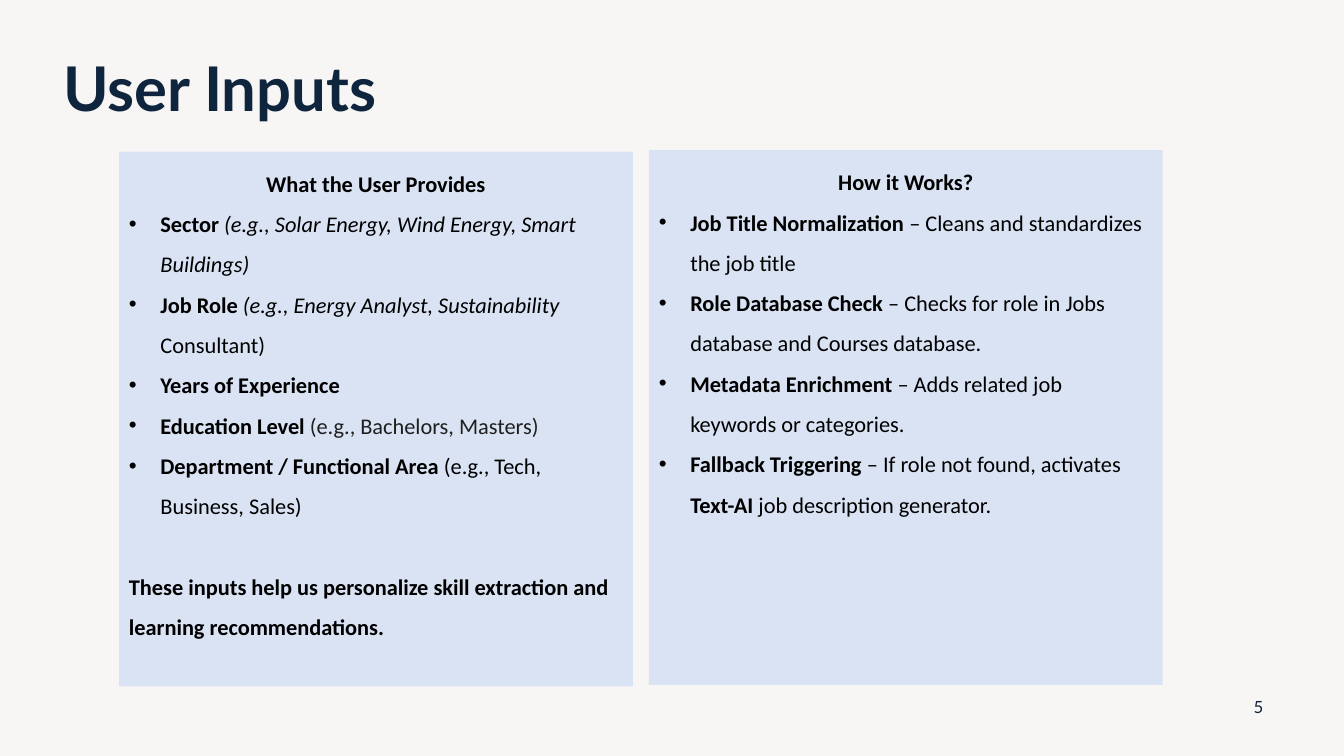
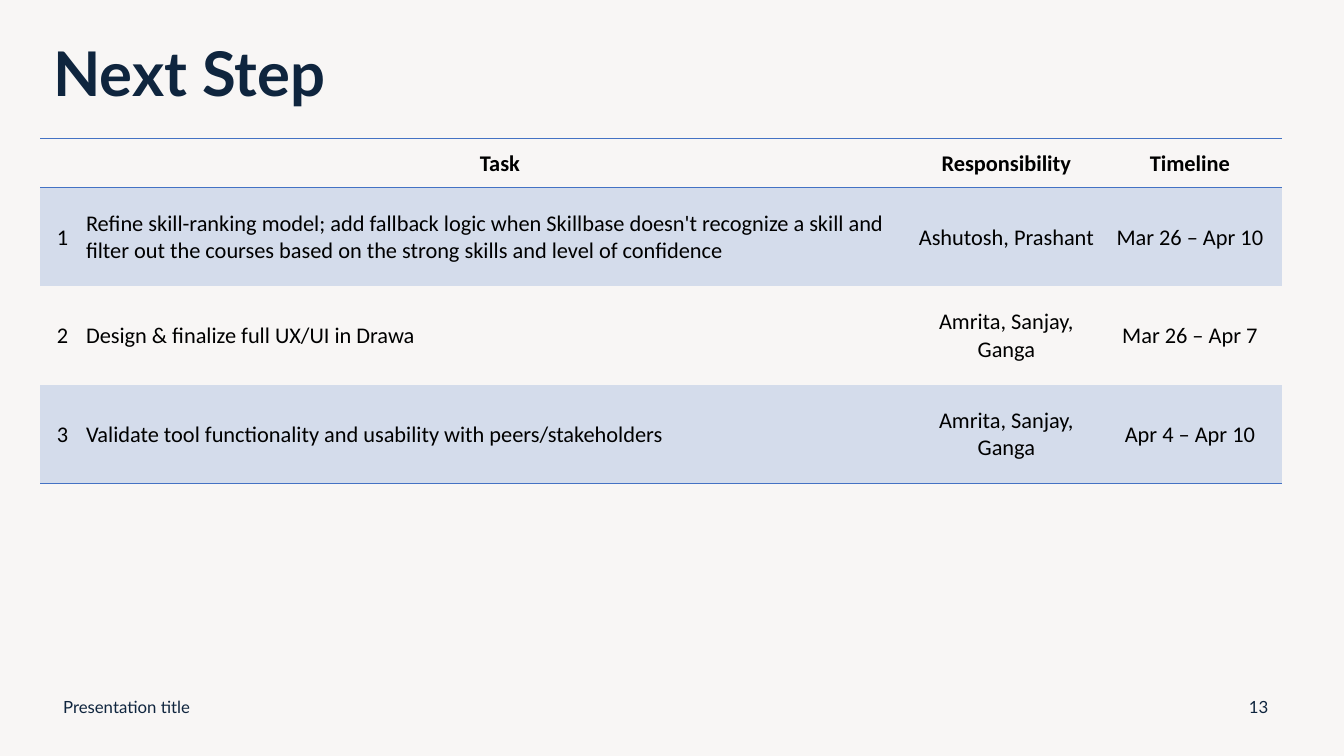
"""Builds the user inputs and next step slides."""
import pptx
import pptx.dml.color
import pptx.enum.shapes
import pptx.enum.text
import pptx.oxml
import pptx.oxml.ns
import pptx.util

Pt = pptx.util.Pt
RGBColor = pptx.dml.color.RGBColor
ALIGN = pptx.enum.text.PP_ALIGN
ANCHOR = pptx.enum.text.MSO_ANCHOR

PAPER = RGBColor(0xF8, 0xF6, 0xF5)
NAVY = RGBColor(0x0F, 0x25, 0x3E)
PANEL = RGBColor(0xDA, 0xE3, 0xF3)
BAND = RGBColor(0xD4, 0xDC, 0xEB)
RULE = RGBColor(0x44, 0x72, 0xC4)
BLACK = RGBColor(0, 0, 0)
CHARCOAL = RGBColor(0x1F, 0x1F, 0x1F)

HEADING_FONT = "Lato"
BODY_FONT = "Calibri"
BODY_SIZE = 16
BULLET_INDENT = 22.5


class Deck:
    """Holds the style and the current slide."""

    def __init__(self):
        self.presentation = pptx.Presentation()
        self.presentation.slide_width = Pt(960)
        self.presentation.slide_height = Pt(540)
        self.slide = None

    def new_slide(self, title, left, top, number):
        self.slide = self.presentation.slides.add_slide(self.presentation.slide_layouts[6])
        backdrop = self.slide.background.fill
        backdrop.solid()
        backdrop.fore_color.rgb = PAPER
        heading = self.label(title, left, top, 828, 88, 44, bold=True)
        heading.line_spacing = 0.9
        self.label(number, 881, 490, 36, 29, 12).alignment = ALIGN.CENTER

    def add_text(self, paragraph, text, style="", color=BLACK, font=BODY_FONT, size=BODY_SIZE):
        run = paragraph.add_run()
        run.text = text
        run.font.name = font
        run.font.size = Pt(size)
        run.font.bold = "b" in style
        run.font.italic = "i" in style
        run.font.color.rgb = color

    def label(self, text, left, top, width, height, size, bold=False):
        frame = self.slide.shapes.add_textbox(Pt(left), Pt(top), Pt(width), Pt(height)).text_frame
        frame.word_wrap = True
        frame.vertical_anchor = ANCHOR.MIDDLE
        paragraph = frame.paragraphs[0]
        self.add_text(paragraph, text, "b" if bold else "", NAVY, HEADING_FONT, size)
        return paragraph

    def panel(self, left, top, heading, bullets, closing=None):
        box = self.slide.shapes.add_shape(
            pptx.enum.shapes.MSO_SHAPE.RECTANGLE, Pt(left), Pt(top), Pt(367), Pt(382))
        box.shadow.inherit = False
        box.fill.solid()
        box.fill.fore_color.rgb = PANEL
        box.line.fill.background()
        frame = box.text_frame
        frame.word_wrap = True
        frame.vertical_anchor = ANCHOR.TOP
        first = frame.paragraphs[0]
        first.alignment = ALIGN.CENTER
        first.line_spacing = 1.5
        self.add_text(first, heading, "b")
        for runs in bullets:
            self.bullet(self.body_line(frame, runs))
        if closing:
            self.body_line(frame, [(closing, "b")]).space_before = Pt(28.8)

    def body_line(self, frame, runs):
        paragraph = frame.add_paragraph()
        paragraph.alignment = ALIGN.LEFT
        paragraph.line_spacing = 1.5
        for run in runs:
            self.add_text(paragraph, *run)
        return paragraph

    def bullet(self, paragraph):
        properties = paragraph._p.get_or_add_pPr()
        properties.set("marL", str(Pt(BULLET_INDENT)))
        properties.set("indent", str(-Pt(BULLET_INDENT)))
        namespace = pptx.oxml.ns.nsdecls("a")
        for mark in ('buFont %s typeface="Arial"', 'buChar %s char="•"'):
            properties.append(pptx.oxml.parse_xml("<a:" + mark % namespace + "/>"))

    def table(self, left, top, widths, heights, rows):
        grid = self.slide.shapes.add_table(
            len(rows), len(widths), Pt(left), Pt(top), Pt(sum(widths)), Pt(sum(heights))).table
        grid.first_row = False
        grid.horz_banding = False
        for column, width in zip(grid.columns, widths):
            column.width = Pt(width)
        for row, height in zip(grid.rows, heights):
            row.height = Pt(height)
        last = len(rows) - 1
        for r, texts in enumerate(rows):
            ruled = {0: "TB", 1: "T", last: "B"}.get(r, "")
            for c, text in enumerate(texts):
                cell = grid.cell(r, c)
                self.borders(cell, ruled)
                if r % 2:
                    cell.fill.solid()
                    cell.fill.fore_color.rgb = BAND
                else:
                    cell.fill.background()
                cell.vertical_anchor = ANCHOR.MIDDLE
                cell.margin_left = cell.margin_right = cell.margin_top = Pt(0.7)
                cell.margin_bottom = Pt(0)
                paragraph = cell.text_frame.paragraphs[0]
                paragraph.alignment = ALIGN.LEFT if r and c == 1 else ALIGN.CENTER
                if text:
                    self.add_text(paragraph, text, "" if r else "b")

    def borders(self, cell, ruled):
        properties = cell._tc.get_or_add_tcPr()
        for side in "LRTB":
            paint = "<a:noFill/>"
            if side in ruled:
                paint = f'<a:solidFill><a:srgbClr val="{RULE}"/></a:solidFill>'
            properties.append(pptx.oxml.parse_xml(
                f'<a:ln{side} {pptx.oxml.ns.nsdecls("a")} w="{Pt(1)}">{paint}</a:ln{side}>'))


def main():
    deck = Deck()

    deck.new_slide("User Inputs", 38, 21.6, "5")
    deck.panel(85, 108.3, "What the User Provides", [
        [("Sector ", "b"), ("(e.g., Solar Energy, Wind Energy, Smart Buildings)", "i")],
        [("Job Role ", "b"), ("(e.g., Energy Analyst, Sustainability ", "i"), ("Consultant)",)],
        [("Years of Experience", "b")],
        [("Education Level ", "b"), ("(e.g., Bachelors, Masters)", "", CHARCOAL)],
        [("Department / Functional Area", "b"), (" (e.g., Tech, Business, Sales)",)],
    ], "These inputs help us personalize skill extraction and learning recommendations.")
    deck.panel(463.5, 107.2, "How it Works?", [
        [("Job Title Normalization", "b"), (" – Cleans and standardizes the job title",)],
        [("Role Database Check", "b"),
         (" – Checks for role in Jobs database and Courses database.",)],
        [("Metadata Enrichment", "b"), (" – Adds related job keywords or categories.",)],
        [("Fallback Triggering", "b"), (" – If role not found, activates ",),
         ("Text-AI", "b"), (" job description generator.",)],
    ])

    deck.new_slide("Next Step", 31, 10.8, "13")
    deck.label("Presentation title", 38, 490, 324, 29, 12)
    deck.table(28.6, 98.8, [32.2, 592.6, 131, 131.2], [35.3, 70.4, 70.4, 70.4], [
        ["", "Task", "Responsibility", "Timeline"],
        ["1", "Refine skill-ranking model; add fallback logic when Skillbase doesn't recognize "
              "a skill and filter out the courses based on the strong skills and level of "
              "confidence", "Ashutosh, Prashant", "Mar 26 – Apr 10"],
        ["2", "Design & finalize full UX/UI in Drawa", "Amrita, Sanjay, Ganga",
         "Mar 26 – Apr 7"],
        ["3", "Validate tool functionality and usability with peers/stakeholders",
         "Amrita, Sanjay, Ganga", "Apr 4 – Apr 10"],
    ])

    deck.presentation.save("out.pptx")


if __name__ == "__main__":
    main()
